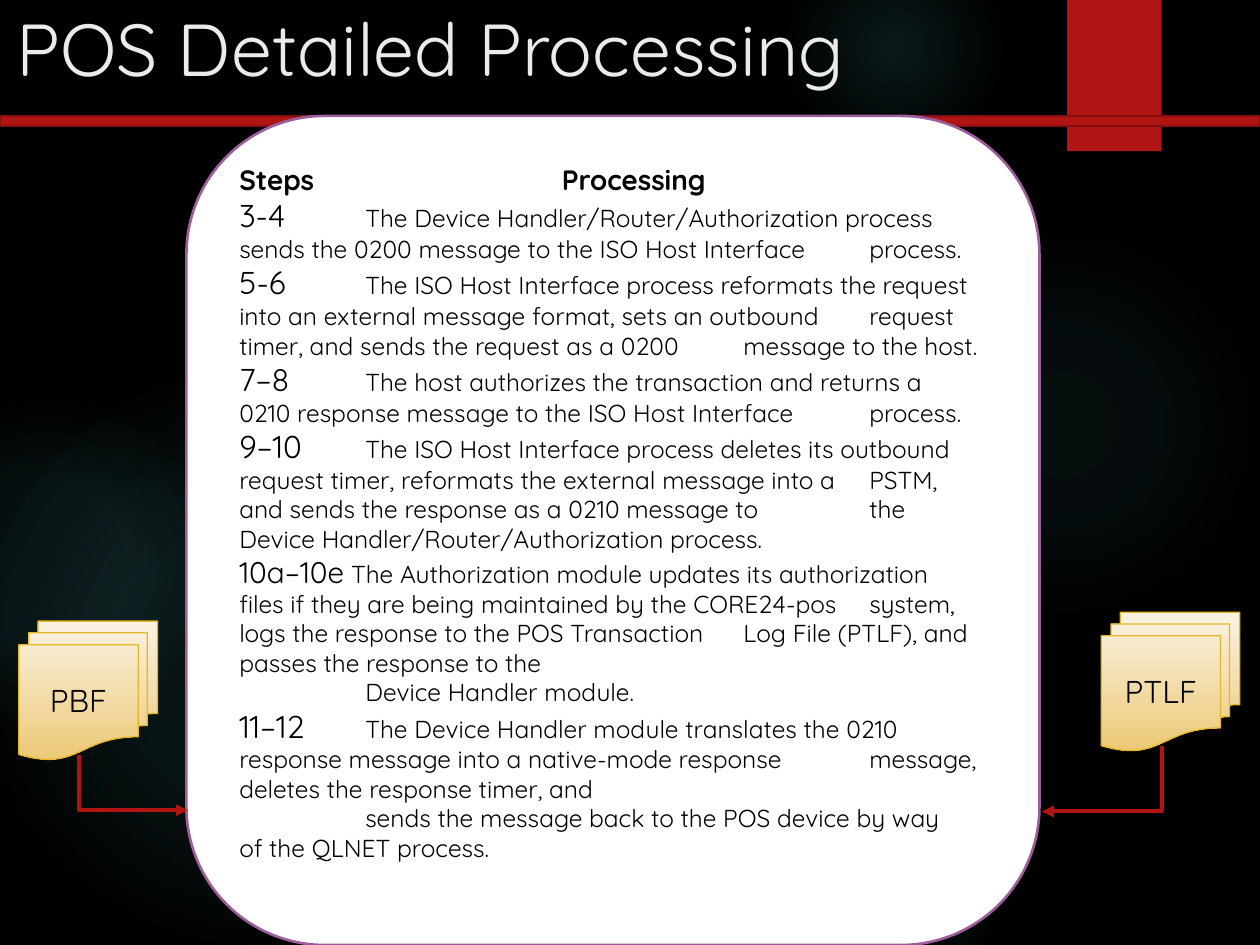
"""Build the POS Detailed Processing slide."""
from lxml.etree import SubElement
from pptx import Presentation
from pptx.dml.color import RGBColor
from pptx.enum.shapes import MSO_CONNECTOR, MSO_SHAPE
from pptx.enum.text import MSO_ANCHOR, PP_ALIGN
from pptx.oxml import parse_xml
from pptx.oxml.ns import nsdecls, qn
from pptx.util import Inches, Pt

FONT = "Quicksand"
BLACK = RGBColor(0x00, 0x00, 0x00)
WHITE = RGBColor(0xFF, 0xFF, 0xFF)
TITLE_GREY = RGBColor(0xEB, 0xEB, 0xEB)
RED = RGBColor(0xB0, 0x15, 0x13)
DARK_RED = RGBColor(0x82, 0x10, 0x0E)
PURPLE = RGBColor(0x9E, 0x5E, 0x9B)
GOLD = RGBColor(0xE6, 0xB7, 0x29)
TEAL = RGBColor(0x50, 0xB9, 0xC1)
CREAM = RGBColor(0xFA, 0xF2, 0xE3)
SAND = RGBColor(0xEC, 0xC9, 0x77)

TITLE = "POS Detailed Processing"
HEADING = "Steps\tProcessing"
STEPS = [
    ("3-4\t", 18, "The Device Handler/Router/Authorization process \tsends the 0200 message "
     "to the ISO Host Interface \tprocess."),
    ("5-6", 18, "\tThe ISO Host Interface process reformats the request \tinto an external "
     "message format, sets an outbound \trequest timer, and sends the request as a 0200 "
     "\tmessage to the host."),
    ("7–8", 18, " \tThe host authorizes the transaction and returns a \t0210 response message "
     "to the ISO Host Interface \tprocess."),
    ("9–10", 18, " \tThe ISO Host Interface process deletes its outbound \trequest timer, "
     "reformats the external message into a \tPSTM, and sends the response as a 0210 message "
     "to \tthe Device Handler/Router/Authorization process."),
    ("10a–10e", 17, " The Authorization module updates its authorization \tfiles if they are "
     "being maintained by the CORE24-pos \tsystem, logs the response to the POS Transaction "
     "\tLog File (PTLF), and passes the response to the"),
    ("", 14, "\tDevice Handler module."),
    ("11–12", 18, "\tThe Device Handler module translates the 0210 \tresponse message into a "
     "native-mode response \tmessage, deletes the response timer, and"),
    ("", 14, "\tsends the message back to the POS device by way \tof the QLNET process."),
]
GLOWS = [
    (6.89, 1.83, 3.08, [(0, 7), (36, 6), (69, 0)]),
    (6.22, -0.5, 1.75, [(0, 14), (36, 7), (73, 0)]),
    (6.89, 6.67, 1.08, [(0, 9), (36, 5), (66, 0)]),
    (-0.17, 2.92, 4.58, [(0, 11), (36, 10), (75, 0)]),
    (-0.92, 3.17, 2.58, [(0, 8), (36, 8), (72, 0)]),
]
FILES = [
    ("PTLF", 8.74, 4.86, (9.22, 5.92), (8.27, 6.44)),
    ("PBF", 0.15, 4.93, (0.63, 5.99), (1.49, 6.43)),
]
RADIAL = ('<a:path path="circle"><a:fillToRect l="50000" t="50000" r="50000" b="50000"/></a:path>')
DOWNWARD = '<a:lin ang="5400000" scaled="0"/>'


def add_panel(slide, preset, left, top, width, height, fill=None, line=None, weight=1.5):
    panel = slide.shapes.add_shape(
        preset, Inches(left), Inches(top), Inches(width), Inches(height))
    panel.shadow.inherit = False
    if fill is not None:
        panel.fill.solid()
        panel.fill.fore_color.rgb = fill
    if line is None:
        panel.line.fill.background()
    else:
        panel.line.color.rgb = line
        panel.line.width = Pt(weight)
    return panel


def set_gradient(panel, stops, direction):
    marks = "".join(
        f'<a:gs pos="{place * 1000}"><a:srgbClr val="{color}">'
        f'<a:alpha val="{alpha * 1000}"/></a:srgbClr></a:gs>'
        for place, color, alpha in stops)
    gradient = parse_xml(
        f'<a:gradFill {nsdecls("a")} rotWithShape="1"><a:gsLst>{marks}</a:gsLst>'
        f'{direction}</a:gradFill>')
    panel._element.spPr.find(qn("a:prstGeom")).addnext(gradient)


def add_run(paragraph, text, size, color=BLACK, bold=False):
    run = paragraph.add_run()
    run.text = text
    run.font.name = FONT
    run.font.size = Pt(size)
    run.font.bold = bold
    run.font.color.rgb = color


def set_tabs(paragraph, stops):
    paragraph.alignment = PP_ALIGN.LEFT
    tabs = SubElement(paragraph._p.get_or_add_pPr(), qn("a:tabLst"))
    for stop in stops:
        SubElement(tabs, qn("a:tab"), pos=str(Inches(stop)), algn="l")


def add_elbow(slide, start, end):
    (x1, y1), (x2, y2) = start, end
    width, height = y2 - y1, abs(x2 - x1)
    left, top = (x1 + x2 - width) / 2, (y1 + y2 - height) / 2
    rightward = x2 > x1
    sides = (left + width, left) if rightward else (left, left + width)
    elbow = slide.shapes.add_connector(
        MSO_CONNECTOR.ELBOW, Inches(sides[0]), Inches(top),
        Inches(sides[1]), Inches(top + height))
    elbow.line.color.rgb = RED
    elbow.line.width = Pt(2.25)
    properties = elbow._element.spPr
    properties.find(qn("a:xfrm")).set("rot", str((270 if rightward else 90) * 60000))
    properties.find(qn("a:prstGeom")).set("prst", "bentConnector2")
    SubElement(properties.find(qn("a:ln")), qn("a:tailEnd"), type="triangle")
    SubElement(properties, qn("a:effectLst"))


def add_title(slide):
    title = slide.shapes.title
    title.left, title.top = Inches(0.03), Inches(-0.03)
    title.width, title.height = Inches(7.73), Inches(0.71)
    title.text_frame.vertical_anchor = MSO_ANCHOR.TOP
    title.text_frame.word_wrap = True
    paragraph = title.text_frame.paragraphs[0]
    paragraph.alignment = PP_ALIGN.LEFT
    add_run(paragraph, TITLE, 42, TITLE_GREY)
    slide.shapes._spTree.append(title._element)


def add_steps(slide):
    card = add_panel(slide, MSO_SHAPE.ROUNDED_RECTANGLE, 1.48, 0.92, 6.77, 6.58, WHITE, PURPLE)
    frame = card.text_frame
    frame.word_wrap = True
    frame.vertical_anchor = MSO_ANCHOR.TOP
    heading = frame.paragraphs[0]
    set_tabs(heading, [2.56])
    add_run(heading, HEADING, 16, bold=True)
    for label, label_size, description in STEPS:
        step = frame.add_paragraph()
        set_tabs(step, range(1, 7))
        if label:
            add_run(step, label, label_size)
        add_run(step, description, 14)


def add_file(slide, label, left, top):
    stack = add_panel(
        slide, MSO_SHAPE.FLOWCHART_MULTIDOCUMENT, left, top, 1.1, 1.1, line=GOLD, weight=0.75)
    set_gradient(stack, [(0, CREAM, 100), (100, SAND, 100)], DOWNWARD)
    stack.text_frame.vertical_anchor = MSO_ANCHOR.MIDDLE
    paragraph = stack.text_frame.paragraphs[0]
    paragraph.alignment = PP_ALIGN.CENTER
    add_run(paragraph, label, 18)


def main():
    deck = Presentation()
    deck.slide_width, deck.slide_height = Inches(10), Inches(7.5)
    slide = deck.slides.add_slide(deck.slide_layouts[5])
    slide.background.fill.solid()
    slide.background.fill.fore_color.rgb = BLACK
    for left, top, size, stops in GLOWS:
        glow = add_panel(slide, MSO_SHAPE.OVAL, left, top, size, size)
        set_gradient(glow, [(place, TEAL, alpha) for place, alpha in stops], RADIAL)
    add_panel(slide, MSO_SHAPE.RECTANGLE, 8.47, 0, 0.75, 1.2, RED)
    add_panel(slide, MSO_SHAPE.RECTANGLE, 0, 0.92, 10, 0.08, RED, DARK_RED)
    add_steps(slide)
    add_title(slide)
    for label, left, top, start, end in FILES:
        add_file(slide, label, left, top)
        add_elbow(slide, start, end)
    deck.save("out.pptx")


if __name__ == "__main__":
    main()
